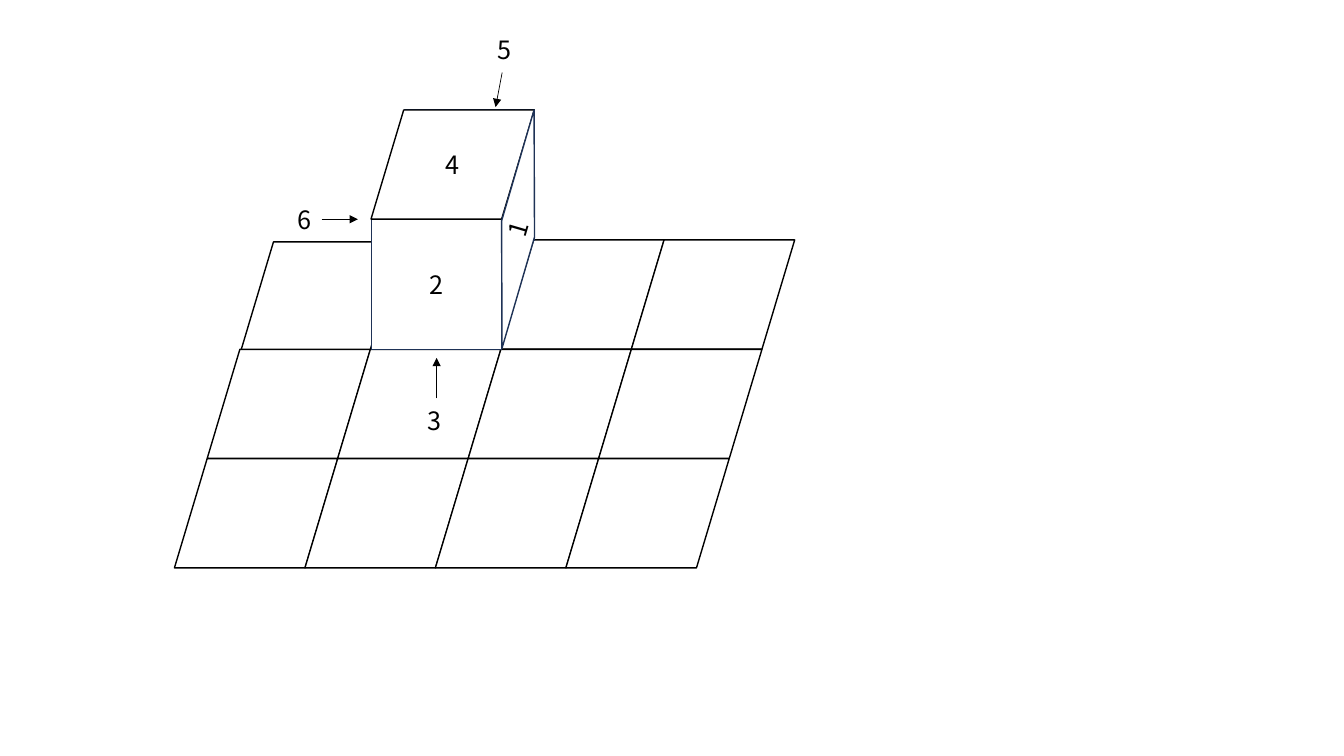
from dataclasses import dataclass

from lxml import etree
from pptx import Presentation
from pptx import util as u
from pptx.dml.color import RGBColor
from pptx.enum import shapes, text
from pptx.oxml import ns

FONT = "Noto Sans CJK SC"
BLACK, WHITE, NAVY = "000000", "FFFFFF", "1E3256"
KIND = shapes.MSO_SHAPE
SLANT = KIND.FLOWCHART_DATA

# Floor tiles, in points
TILE_W, TILE_H = 116.64, 77.9
COLS, ROWS = 4, 3
LEFT, TOP = 171.4, 171.4
STEP_X, STEP_Y = 93.2, 78.15
SHIFT = 23.4  # each row starts this much further left
EDGE = 93  # side of the cube


@dataclass
class Face:
    kind: KIND
    left: float
    top: float
    width: float
    height: float
    line: str = BLACK
    label: str = ""
    turn: float = 0
    skew: float | None = None


@dataclass
class Mark:
    """A numeral with the arrow that leads away from it."""
    label: str
    left: float
    top: float
    start: tuple[float, float]
    end: tuple[float, float]
    side: int | None = None


CUBE = [
    Face(KIND.RECTANGLE, 289, 78.6, EDGE, EDGE, NAVY),
    Face(KIND.RECTANGLE, 265.4, 156.6, EDGE, EDGE, NAVY, "2"),
    Face(SLANT, 265, 78.6, TILE_W, TILE_H, BLACK, "4"),
    Face(KIND.PARALLELOGRAM, 285.2, 150.7, 169.7, 25.8, NAVY, "1", 286.3, 3.375),
]

MARKS = [
    Mark("6", 205.2, 142.2, (229.7, 156.6), (255.6, 156.6), side=3),
    Mark("5", 348.5, 21, (358.7, 51.8), (354, 76.5)),
    Mark("3", 298.6, 286, (311.9, 284.5), (311.9, 255.6)),
]


def hue(code: str) -> RGBColor:
    return RGBColor.from_string(code)


def write(frame, label: str, align=None) -> None:
    frame.text = label
    para = frame.paragraphs[0]
    para.alignment = align
    for run in para.runs:
        run.font.size = u.Pt(18)
        run.font.name = FONT
        run.font.color.rgb = hue(BLACK)


def draw_face(slide, face: Face) -> None:
    shape = slide.shapes.add_shape(
        face.kind, u.Pt(face.left), u.Pt(face.top), u.Pt(face.width), u.Pt(face.height))
    shape.shadow.inherit = False
    shape.rotation = face.turn
    if face.skew is not None:
        shape.adjustments[0] = face.skew
    shape.fill.solid()
    shape.fill.fore_color.rgb = hue(WHITE)
    shape.line.color.rgb = hue(face.line)
    shape.line.width = u.Pt(1)
    if face.label:
        shape.text_frame.vertical_anchor = text.MSO_ANCHOR.MIDDLE
        write(shape.text_frame, face.label, text.PP_ALIGN.CENTER)


def draw_floor(slide) -> None:
    for col in range(COLS):
        for row in range(ROWS):
            left = LEFT + col * STEP_X - row * SHIFT
            top = TOP + row * STEP_Y
            if col == row == 0:  # the far corner tile sits slightly off the grid
                left, top = left + 0.6, top + 1.4
            draw_face(slide, Face(SLANT, left, top, TILE_W, TILE_H))


def draw_mark(slide, mark: Mark) -> None:
    box = slide.shapes.add_textbox(
        u.Pt(mark.left), u.Pt(mark.top), u.Pt(24.5), u.Pt(28.8))
    frame = box.text_frame
    frame.word_wrap = False
    frame.auto_size = text.MSO_AUTO_SIZE.SHAPE_TO_FIT_TEXT
    write(frame, mark.label)

    ends = [u.Pt(n) for n in (*mark.start, *mark.end)]
    arrow = slide.shapes.add_connector(shapes.MSO_CONNECTOR.STRAIGHT, *ends)
    if mark.side is not None:
        arrow.begin_connect(box, mark.side)
    arrow.line.color.rgb = hue(BLACK)
    arrow.line.width = u.Pt(0.5)
    line = arrow.line._get_or_add_ln()
    etree.SubElement(line, ns.qn("a:tailEnd"), type="triangle")
    etree.SubElement(arrow._element.spPr, ns.qn("a:effectLst"))


def main() -> None:
    deck = Presentation()
    deck.slide_width, deck.slide_height = u.Pt(960), u.Pt(540)
    slide = deck.slides.add_slide(deck.slide_layouts[6])
    draw_floor(slide)
    for face in CUBE:
        draw_face(slide, face)
    for mark in MARKS:
        draw_mark(slide, mark)
    deck.save("out.pptx")


if __name__ == "__main__":
    main()
